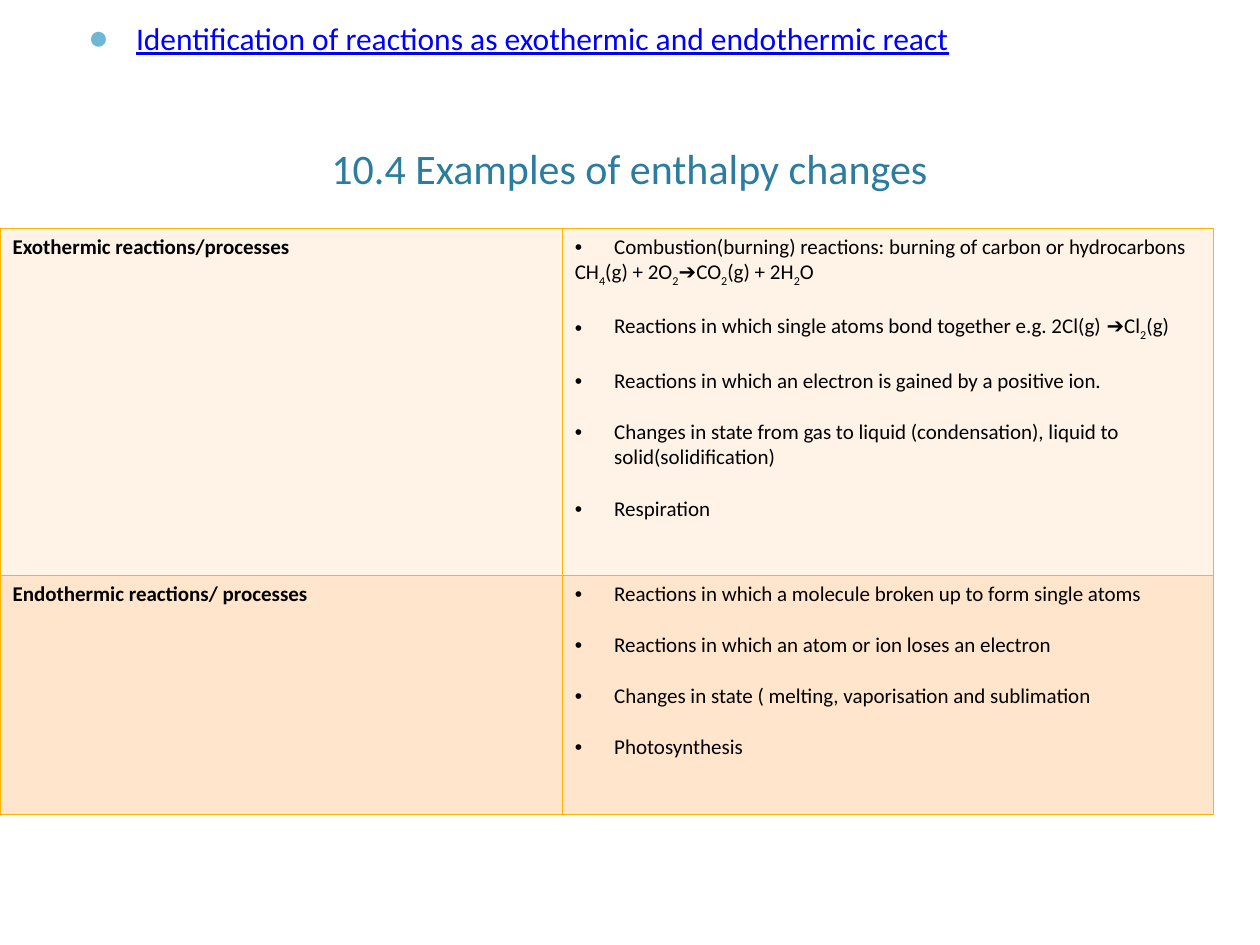
from dataclasses import dataclass

from lxml.etree import SubElement
from pptx import Presentation
from pptx.dml.color import RGBColor
from pptx.enum.text import MSO_ANCHOR, MSO_AUTO_SIZE, PP_ALIGN
from pptx.oxml.ns import qn
from pptx.util import Pt


@dataclass(frozen=True)
class Theme:
    font: str = "Calibri"
    symbol_font: str = "Arial"
    title: str = "2C7C9F"
    link: str = "0000FF"
    text: str = "000000"
    bullet: str = "6FB7D7"
    border: str = "FFB400"
    bands: tuple = ("FFF2E7", "FFE5CB")
    title_size: float = 24
    body_size: float = 18
    cell_size: float = 12
    border_width: float = 0.45
    gap: float = 14.65


class Deck:
    """Builds styled elements on the current slide."""

    def __init__(self, theme):
        self.theme = theme
        self.prs = Presentation()
        self.prs.slide_width, self.prs.slide_height = Pt(720), Pt(540)
        self.s = self.prs.slides.add_slide(self.prs.slide_layouts[1])

    def place(self, sp, left, top, width, height, anchor):
        sp.left, sp.top, sp.width, sp.height = map(Pt, (left, top, width, height))
        tf = sp.text_frame
        tf.word_wrap = True
        tf.auto_size = MSO_AUTO_SIZE.NONE
        tf.vertical_anchor = anchor
        return tf.paragraphs[0]

    def run(self, p, text, size, color, font=None, bold=False, underline=False):
        r = p.add_run()
        r.text = text
        r.font.name = font or self.theme.font
        r.font.size = Pt(size)
        r.font.bold = bold
        r.font.underline = underline
        r.font.color.rgb = RGBColor.from_string(color)
        return r

    def bullet(self, p, char, color, indent, percent=100):
        pPr = p._p.get_or_add_pPr()
        pPr.set("marL", str(Pt(indent)))
        pPr.set("indent", str(-Pt(indent)))
        clr = SubElement(pPr, qn("a:buClr"))
        SubElement(clr, qn("a:srgbClr")).set("val", color)
        SubElement(pPr, qn("a:buSzPct")).set("val", str(percent * 1000))
        SubElement(pPr, qn("a:buFont")).set("typeface", self.theme.symbol_font)
        SubElement(pPr, qn("a:buChar")).set("char", char)

    def title(self, text, *box):
        t = self.theme
        p = self.place(self.s.shapes.title, *box, MSO_ANCHOR.BOTTOM)
        p.alignment = PP_ALIGN.CENTER
        self.run(p, text, t.title_size, t.title)

    def body(self, text, *box):
        t = self.theme
        p = self.place(self.s.placeholders[1], *box, MSO_ANCHOR.TOP)
        self.bullet(p, "●", t.bullet, 27.36, 110)
        p.space_before = Pt(0)
        self.run(p, text, t.body_size, t.link, underline=True)

    def cell(self, cell, fill):
        t = self.theme
        tcPr = cell._tc.get_or_add_tcPr()
        for side in ("a:lnL", "a:lnR", "a:lnT", "a:lnB"):
            ln = SubElement(tcPr, qn(side))
            ln.set("w", str(Pt(t.border_width)))
            line = SubElement(ln, qn("a:solidFill"))
            SubElement(line, qn("a:srgbClr")).set("val", t.border)
        cell.fill.solid()
        cell.fill.fore_color.rgb = RGBColor.from_string(fill)
        return cell.text_frame

    def entry(self, p, text, first):
        t = self.theme
        formula = text.startswith("=")
        if not formula:
            self.bullet(p, "•", t.text, 22.5)
        p.space_before = Pt(0 if first or formula else t.gap)
        for part in text.removeprefix("=").split("|"):
            font = t.symbol_font if part == "➔" else t.font
            r = self.run(p, part.removeprefix("_"), t.cell_size, t.text, font)
            if part.startswith("_"):
                r._r.get_or_add_rPr().set("baseline", "-25000")

    def table(self, rows, left, top, widths, heights):
        t = self.theme
        box = map(Pt, (left, top, sum(widths), sum(heights)))
        tbl = self.s.shapes.add_table(len(rows), len(widths), *box).table
        tbl.first_row = tbl.horz_banding = False
        for col, width in zip(tbl.columns, widths):
            col.width = Pt(width)
        for row, height, fill, (label, entries) in zip(tbl.rows, heights, t.bands, rows):
            row.height = Pt(height)
            heading, details = (self.cell(c, fill) for c in row.cells)
            self.run(heading.paragraphs[0], label, t.cell_size, t.text, bold=True)
            for i, text in enumerate(entries):
                p = details.add_paragraph() if i else details.paragraphs[0]
                self.entry(p, text, i == 0)


REACTIONS = [
    ("Exothermic reactions/processes", [
        "Combustion(burning) reactions: burning of carbon or hydrocarbons",
        "=CH|_4|(g) + 2O|_2|➔|CO|_2|(g) + 2H|_2|O",
        "Reactions in which single atoms bond together e.g. 2Cl(g) |➔|Cl|_2|(g)",
        "Reactions in which an electron is gained by a positive ion.",
        "Changes in state from gas to liquid (condensation), liquid to solid(solidification)",
        "Respiration",
    ]),
    ("Endothermic reactions/ processes", [
        "Reactions in which a molecule broken up to form single atoms",
        "Reactions in which an atom or ion loses an electron",
        "Changes in state ( melting, vaporisation and sublimation",
        "Photosynthesis",
    ]),
]


def main():
    deck = Deck(Theme())
    deck.title("10.4 Examples of enthalpy changes", 43.2, 8.64, 633, 105)
    deck.body("Identification of reactions as exothermic and endothermic react",
              43.2, 7.2, 633, 342)
    deck.table(REACTIONS, 0, 130.32, (321.3, 371.8), (198.2, 137))
    deck.prs.save("out.pptx")


if __name__ == "__main__":
    main()
